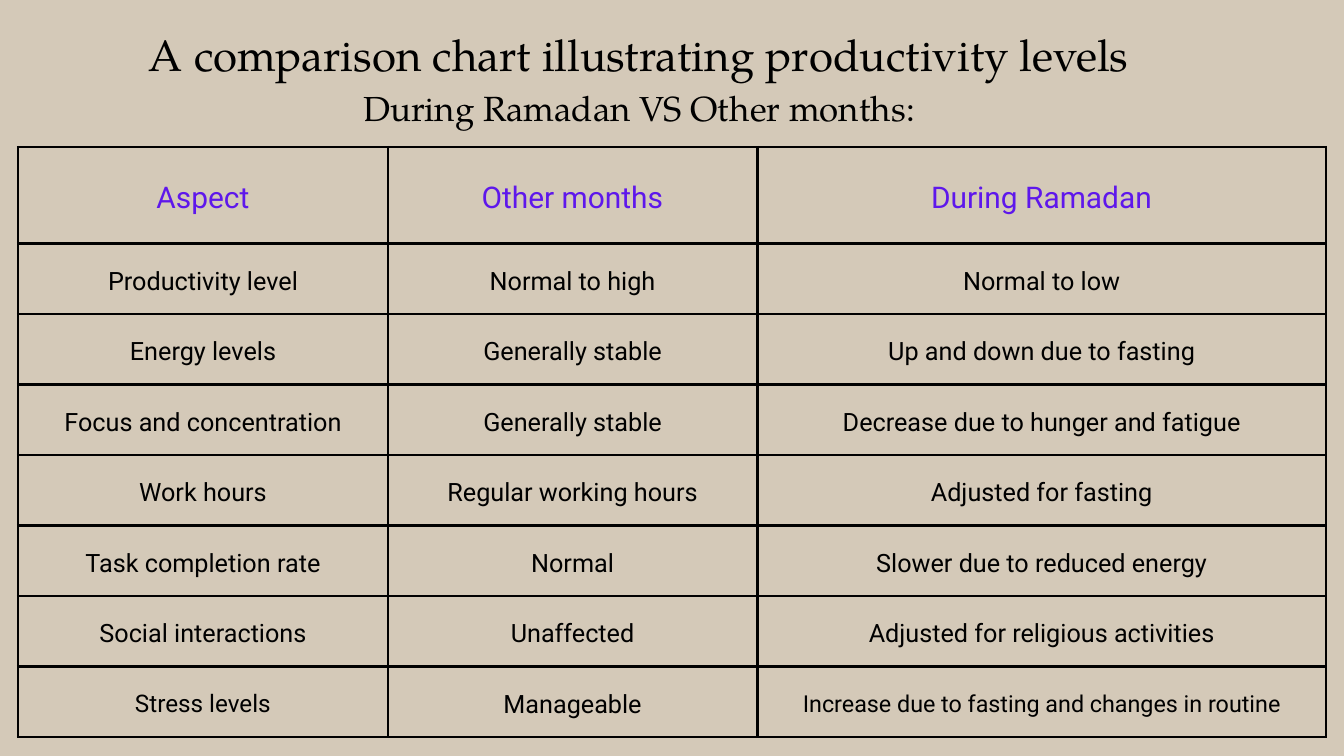
from lxml import etree
from pptx import Presentation
from pptx.dml.color import RGBColor
from pptx.enum import text
from pptx.oxml import ns
from pptx.util import Inches, Pt

BACKGROUND, INK, ACCENT = "D4C9B8", "000000", "5E17EB"
TITLE_FONT, TABLE_FONT = "TeX Gyre Pagella", "Roboto"
LEADING = 1.4
HEADER_SIZE, BODY_SIZE = 32, 27

TITLE_LINES = [
    ("A comparison chart illustrating productivity levels", 47),
    ("During Ramadan VS Other months:", 37.3),
]
ROWS = [
    ("Aspect", "Other months", "During Ramadan"),
    ("Productivity level", "Normal to high", "Normal to low"),
    ("Energy levels", "Generally stable", "Up and down due to fasting"),
    ("Focus and concentration", "Generally stable", "Decrease due to hunger and fatigue"),
    ("Work hours", "Regular working hours", "Adjusted for fasting"),
    ("Task completion rate", "Normal", "Slower due to reduced energy"),
    ("Social interactions", "Unaffected", "Adjusted for religious activities"),
    ("Stress levels", "Manageable", "Increase due to fasting and changes in routine"),
]
SPECIAL_SIZES = {(7, 0): 26, (7, 2): 25}
COLUMN_WIDTHS = [5.5, 5.5, 8.46]
ROW_HEIGHTS = [1.43] + [1.05] * (len(ROWS) - 1)


def rgb(hex_color):
    return RGBColor.from_string(hex_color)


def format_paragraph(para, size, font, color):
    para.alignment = text.PP_ALIGN.CENTER
    para.line_spacing = Pt(round(size * LEADING, 1))
    para.space_before = Pt(0)
    para.font.size = Pt(size)
    para.font.name = font
    para.font.color.rgb = rgb(color)


def set_borders(cell, width, color):
    """Draw one solid line on all four sides of a table cell."""
    properties = cell._tc.get_or_add_tcPr()
    for index, side in enumerate(("lnL", "lnR", "lnT", "lnB")):
        line = etree.Element(ns.qn(f"a:{side}"), w=str(Pt(width)))
        fill = etree.SubElement(line, ns.qn("a:solidFill"))
        etree.SubElement(fill, ns.qn("a:srgbClr"), val=color)
        properties.insert(index, line)


def add_title(page):
    title = page.shapes.title
    title.left, title.top = Inches(0), Inches(0.28)
    title.width, title.height = Inches(18.88), Inches(1.6)
    frame = title.text_frame
    frame.auto_size = text.MSO_AUTO_SIZE.NONE
    frame.word_wrap = True
    frame.vertical_anchor = text.MSO_ANCHOR.TOP
    frame.margin_left = frame.margin_right = frame.margin_top = frame.margin_bottom = 0
    frame.text = "\n".join(line for line, _ in TITLE_LINES)
    for para, (_, size) in zip(frame.paragraphs, TITLE_LINES):
        format_paragraph(para, size, TITLE_FONT, INK)
    # The first line sits slightly to the right of the second
    frame.paragraphs[0]._p.get_or_add_pPr().set("marL", str(Inches(0.14)))


def add_comparison_table(page):
    table = page.shapes.add_table(
        len(ROWS), len(COLUMN_WIDTHS), Inches(0.27), Inches(2.19),
        Inches(sum(COLUMN_WIDTHS)), Inches(sum(ROW_HEIGHTS))).table
    table.first_row = table.horz_banding = False
    for column, width in zip(table.columns, COLUMN_WIDTHS):
        column.width = Inches(width)
    for row, height in zip(table.rows, ROW_HEIGHTS):
        row.height = Inches(height)
    for r, labels in enumerate(ROWS):
        default_size, color = (BODY_SIZE, INK) if r else (HEADER_SIZE, ACCENT)
        for c, label in enumerate(labels):
            cell = table.cell(r, c)
            cell.text = label
            cell.fill.background()
            cell.vertical_anchor = text.MSO_ANCHOR.MIDDLE
            cell.margin_left = cell.margin_right = Inches(0.21)
            cell.margin_top = cell.margin_bottom = Inches(0.21)
            set_borders(cell, 3, INK)
            size = SPECIAL_SIZES.get((r, c), default_size)
            format_paragraph(cell.text_frame.paragraphs[0], size, TABLE_FONT, color)


def main():
    deck = Presentation()
    deck.slide_width, deck.slide_height = Inches(20), Inches(11.25)
    page = deck.slides.add_slide(deck.slide_layouts.get_by_name("Title Only"))
    page.background.fill.solid()
    page.background.fill.fore_color.rgb = rgb(BACKGROUND)
    add_comparison_table(page)
    add_title(page)
    deck.save("out.pptx")


if __name__ == "__main__":
    main()
